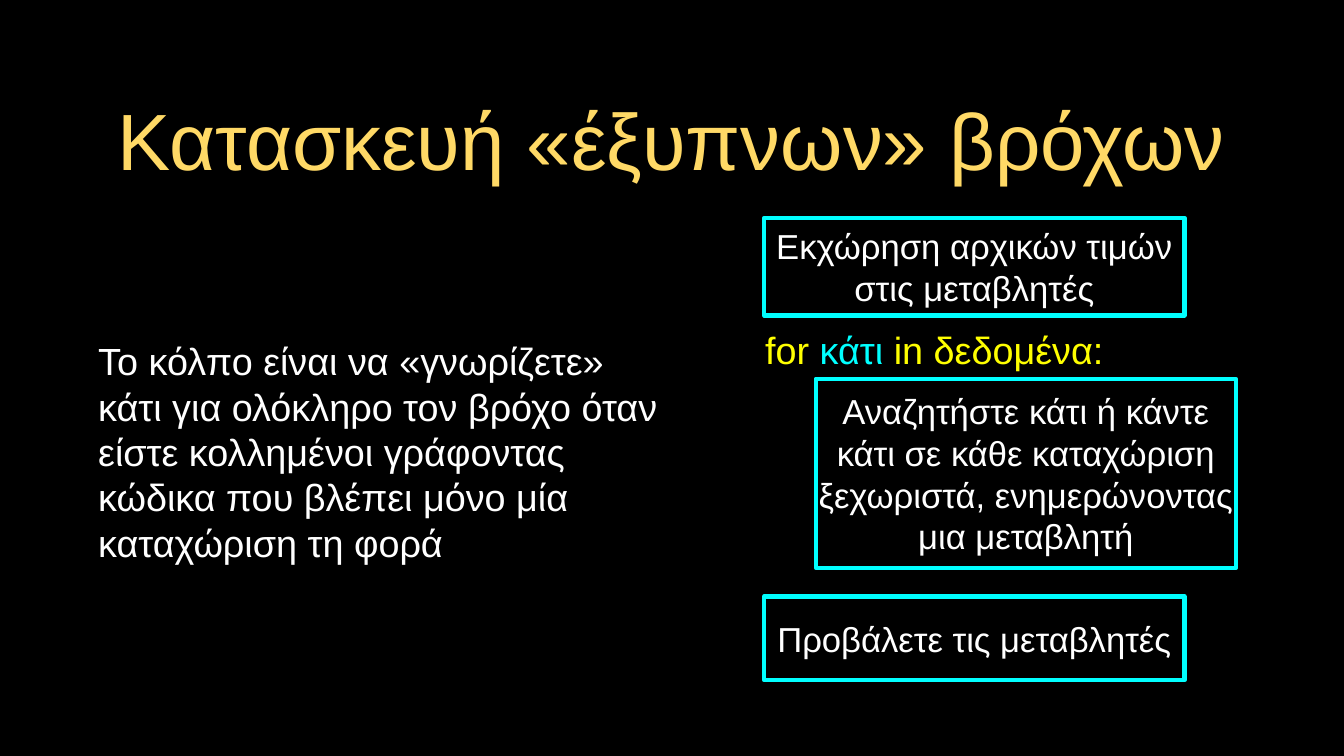
from pptx import Presentation
from pptx.dml.color import RGBColor
from pptx.enum.shapes import MSO_SHAPE as Shape
from pptx.enum.text import MSO_ANCHOR as Anchor, PP_ALIGN as Align
from pptx.util import Cm, Pt

BLACK = RGBColor(0x00, 0x00, 0x00)
WHITE = RGBColor(0xFF, 0xFF, 0xFF)
GOLD = RGBColor(0xFF, 0xD9, 0x66)
CYAN = RGBColor(0x00, 0xFF, 0xFF)
YELLOW = RGBColor(0xFF, 0xFF, 0x00)
FONT = "Arial"


def write_text(box, runs, size, align=Align.CENTER, inset=0):
    """Fill a shape with one paragraph made of (text, colour) runs."""
    frame = box.text_frame
    frame.word_wrap = True
    frame.vertical_anchor = Anchor.MIDDLE
    frame.margin_left = frame.margin_right = Cm(inset)
    frame.margin_top = frame.margin_bottom = Cm(inset)
    para = frame.paragraphs[0]
    para.alignment = align
    for text, colour in runs:
        span = para.add_run()
        span.text = text
        span.font.name = FONT
        span.font.size = Pt(size)
        span.font.color.rgb = colour


def add_title(page, left, top, width, height):
    box = page.shapes.add_textbox(Cm(left), Cm(top), Cm(width), Cm(height))
    write_text(box, [("Κατασκευή «έξυπνων» βρόχων", GOLD)], 76, inset=0.1)


def add_explanation(page, left, top, width, height):
    box = page.shapes.add_textbox(Cm(left), Cm(top), Cm(width), Cm(height))
    text = ("Το κόλπο είναι να «γνωρίζετε» κάτι για ολόκληρο τον βρόχο όταν "
            "είστε κολλημένοι γράφοντας κώδικα που βλέπει μόνο μία "
            "καταχώριση τη φορά")
    write_text(box, [(text, WHITE)], 36, Align.LEFT, inset=0.1)


def add_step(page, left, top, width, height, text):
    step = page.shapes.add_shape(
        Shape.RECTANGLE, Cm(left), Cm(top), Cm(width), Cm(height))
    step.shadow.inherit = False
    step.fill.background()
    step.line.color.rgb = CYAN
    step.line.width = Pt(4)
    write_text(step, [(text, WHITE)], 33)


def add_loop_pattern(page, left, top, width):
    """Draw the steps before, inside and after the loop, and its header."""
    indent = 1.73
    step_width = width - indent
    add_step(page, left, top, step_width, 3.28,
             "Εκχώρηση αρχικών τιμών στις μεταβλητές")
    add_step(page, left + indent, top + 5.41, step_width, 6.35,
             "Αναζητήστε κάτι ή κάντε κάτι σε κάθε καταχώριση ξεχωριστά, "
             "ενημερώνοντας μια μεταβλητή")
    header = page.shapes.add_textbox(
        Cm(left - 0.23), Cm(top + 3.55), Cm(11.89), Cm(1.73))
    write_text(header, [("for ", YELLOW), ("κάτι", CYAN),
                        (" in δεδομένα:", YELLOW)], 36)
    add_step(page, left, top + 12.72, step_width, 2.82,
             "Προβάλετε τις μεταβλητές")


def main():
    deck = Presentation()
    deck.slide_width, deck.slide_height = Cm(45.16), Cm(25.4)
    page = deck.slides.add_slide(deck.slide_layouts[6])
    page.background.fill.solid()
    page.background.fill.fore_color.rgb = BLACK
    add_title(page, 3.2, 2.26, 38.71, 4.78)
    add_explanation(page, 3.2, 7.24, 19.02, 15.85)
    add_loop_pattern(page, 25.68, 7.32, 15.85)
    deck.save("out.pptx")


if __name__ == "__main__":
    main()
